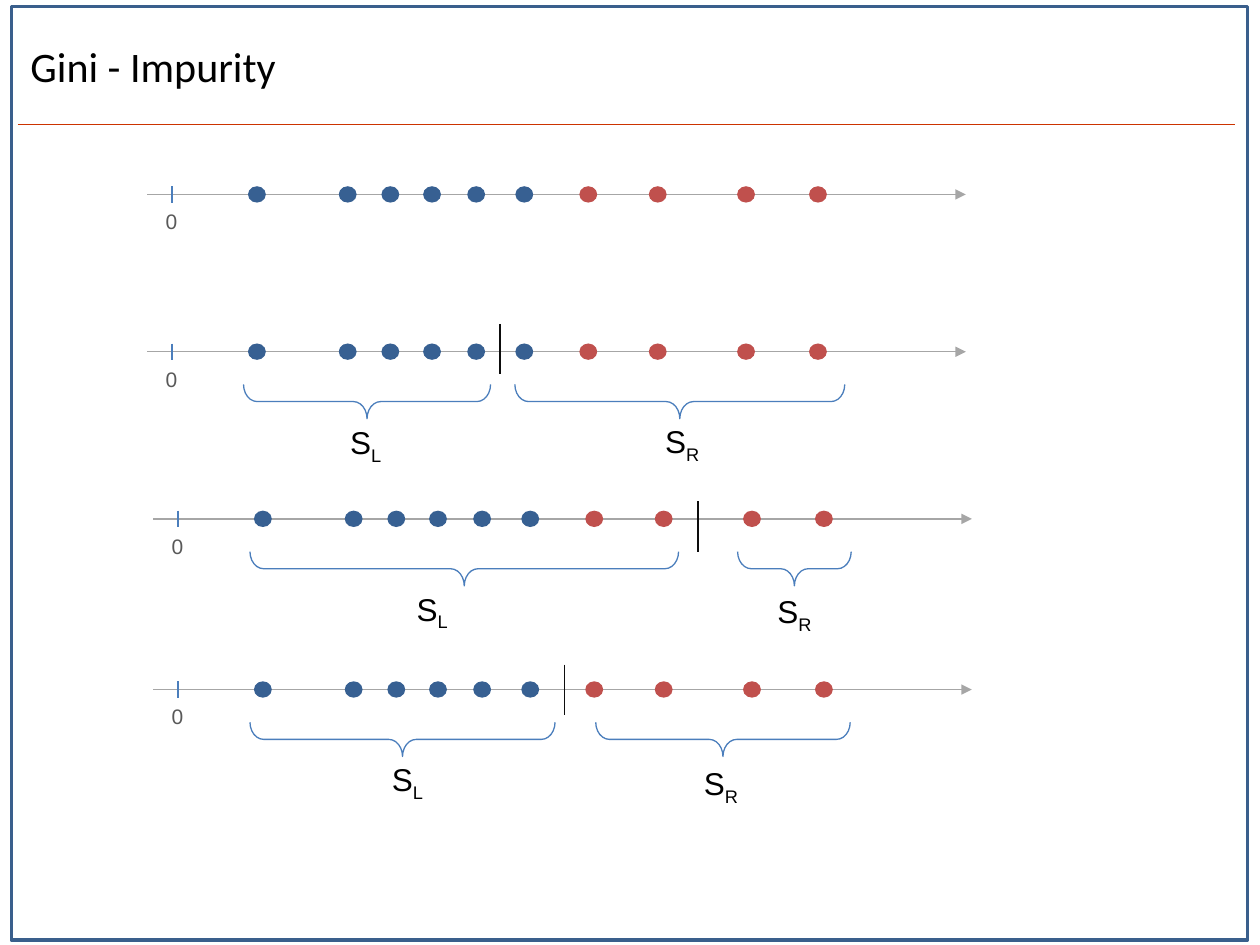
from lxml import etree
from pptx import Presentation
from pptx.dml.color import RGBColor
from pptx.enum.shapes import MSO_CONNECTOR, MSO_SHAPE
from pptx.enum.text import MSO_ANCHOR, MSO_AUTO_SIZE, PP_ALIGN
from pptx.oxml.ns import qn
from pptx.util import Cm, Pt

STRAIGHT = MSO_CONNECTOR.STRAIGHT
RECT, OVAL, BRACE = MSO_SHAPE.RECTANGLE, MSO_SHAPE.OVAL, MSO_SHAPE.LEFT_BRACE
LEFT, MIDDLE = PP_ALIGN.LEFT, MSO_ANCHOR.MIDDLE
FIT, NO_FIT = MSO_AUTO_SIZE.SHAPE_TO_FIT_TEXT, MSO_AUTO_SIZE.NONE

COLORS = {
    "black": "000000", "split": "0D0D0D", "axis": "A6A6A6", "zero": "595959",
    "left": "376092", "right": "C0504D", "thin": "4B7EBC",
    "frame": "3A5F8C", "rule": "CC3300",
}

AXIS_LENGTH = 16.5
DOT_W, DOT_H = 0.36, 0.33
BRACE_DROP, BRACE_DEPTH = 0.66, 0.69
BLUE_DOTS = [2.03, 3.86, 4.72, 5.56, 6.45, 7.42]
RED_DOTS = [8.71, 10.11, 11.89, 13.34]

ROWS = [
    {"x": 2.97, "y": 3.92},
    {"x": 2.97, "y": 7.09, "split": (10.08, -0.56),
     "groups": [("L", 4.91, 4.98, 6.81, 1.32), ("R", 10.38, 6.65, 13.16, 1.29)]},
    {"x": 3.09, "y": 10.46, "split": (14.07, -0.36),
     "groups": [("L", 5.04, 8.64, 8.15, 1.3), ("R", 14.87, 2.29, 15.42, 1.35)]},
    {"x": 3.09, "y": 13.9, "split": (11.38, -0.5),
     "groups": [("L", 5.04, 6.15, 7.65, 1.29), ("R", 12.01, 5.13, 13.94, 1.37)]},
]


def color(name):
    """Return the named colour."""
    return RGBColor.from_string(COLORS[name])


def write(tf, text, size, font="Arial", fill="black", sub=""):
    """Write one left-aligned paragraph with an optional subscript."""
    p = tf.paragraphs[0]
    p.alignment = LEFT
    for part in filter(None, (text, sub)):
        r = p.add_run()
        r.text = part
        r.font.size, r.font.name = Pt(size), font
        r.font.color.rgb = color(fill)
    if sub:
        r._r.get_or_add_rPr().set("baseline", "-25000")


def add_label(slide, x, y, w, h, text, size, **fmt):
    """Add a non-wrapping text box."""
    tf = slide.shapes.add_textbox(Cm(x), Cm(y), Cm(w), Cm(h)).text_frame
    tf.word_wrap, tf.auto_size = False, FIT
    write(tf, text, size, **fmt)


def add_line(slide, x1, y1, x2, y2, line, width=0.75, arrow=False):
    """Add a straight line, with an arrowhead at its end if asked."""
    sp = slide.shapes.add_connector(STRAIGHT, Cm(x1), Cm(y1), Cm(x2), Cm(y2))
    sp.line.color.rgb, sp.line.width = color(line), Pt(width)
    if arrow:
        etree.SubElement(sp.line._get_or_add_ln(), qn("a:tailEnd"), type="triangle")
    etree.SubElement(sp._element.spPr, qn("a:effectLst"))


def add_shape(slide, kind, x, y, w, h, fill=None, line=None, width=0.75):
    """Add a preset shape that is filled, outlined or both."""
    sp = slide.shapes.add_shape(kind, Cm(x), Cm(y), Cm(w), Cm(h))
    sp.shadow.inherit = False
    if fill:
        sp.fill.solid()
        sp.fill.fore_color.rgb = color(fill)
    else:
        sp.fill.background()
    if line:
        sp.line.color.rgb, sp.line.width = color(line), Pt(width)
    else:
        sp.line.fill.background()
    return sp


def add_brace(slide, x, y, length):
    """Add a brace that opens upward and spans the given length."""
    sp = add_shape(slide, BRACE, x + (length - BRACE_DEPTH) / 2,
                   y + (BRACE_DEPTH - length) / 2, BRACE_DEPTH, length, line="thin")
    sp.rotation = 270
    sp.adjustments[0] = 0.4


def add_number_line(slide, x, y):
    """Add an axis with its zero mark and the dots of both classes."""
    add_line(slide, x, y, x + AXIS_LENGTH, y, "axis", arrow=True)
    for fill, dots in (("left", BLUE_DOTS), ("right", RED_DOTS)):
        for dot in dots:
            add_shape(slide, OVAL, x + dot, y - DOT_H / 2, DOT_W, DOT_H, fill=fill)
    add_line(slide, x + 0.5, y - DOT_H / 2, x + 0.5, y + DOT_H / 2, "thin")
    add_label(slide, x + 0.12, y + DOT_H / 2, 0.74, 0.76, "0", 12, fill="zero")


def add_split(slide, y, split, groups):
    """Add the split mark with a brace and a label for each side."""
    x, rise = split
    add_line(slide, x, y + rise, x, y + rise + 1.02, "split")
    for side, left, length, label_x, drop in groups:
        add_brace(slide, left, y + BRACE_DROP, length)
        add_label(slide, label_x, y + drop, 1.2, 1.02, "S", 18, sub=side)


def add_title(slide, text):
    """Place and format the title, with the rule and the frame."""
    sp = slide.shapes.title
    sp.left, sp.top, sp.width, sp.height = Cm(0.36), Cm(0.15), Cm(24.54), Cm(2.36)
    tf = sp.text_frame
    tf.vertical_anchor, tf.auto_size = MIDDLE, NO_FIT
    write(tf, text, 24, font="Calibri")
    add_line(slide, 0.36, 2.51, 24.9, 2.51, "rule", width=1)
    add_shape(slide, RECT, 0.23, 0.13, 24.92, 18.82, line="frame", width=2)


def main():
    """Build the slide and save it."""
    prs = Presentation()
    prs.slide_width, prs.slide_height = Cm(25.4), Cm(19.05)
    slide = prs.slides.add_slide(prs.slide_layouts[5])
    add_title(slide, "Gini - Impurity")
    for row in ROWS:
        add_number_line(slide, row["x"], row["y"])
        if "split" in row:
            add_split(slide, row["y"], row["split"], row["groups"])
    prs.save("out.pptx")


if __name__ == "__main__":
    main()
